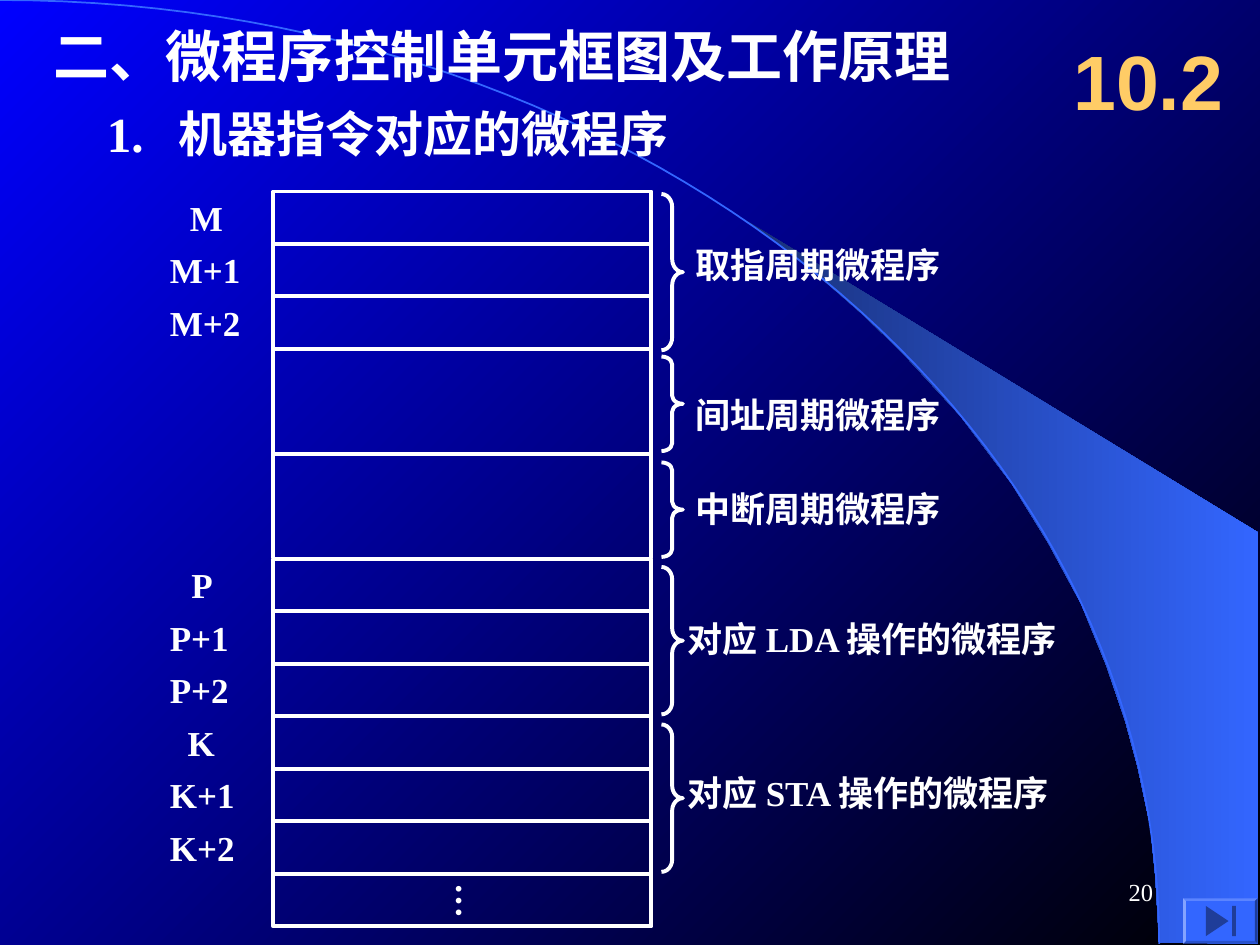
from lxml.etree import SubElement
from pptx import Presentation
from pptx.dml.color import RGBColor
from pptx.enum.shapes import MSO_CONNECTOR, MSO_SHAPE
from pptx.enum.text import MSO_ANCHOR, MSO_AUTO_SIZE, PP_ALIGN
from pptx.oxml.ns import qn
from pptx.util import Inches, Pt


def color(value):
    return RGBColor.from_string(value)


def add_text(text, left, top, width, height, size=20, font="Times New Roman",
             fill="FFFFFF", bold=True, wrap=False):
    box = slide.shapes.add_textbox(Inches(left), Inches(top), Inches(width), Inches(height))
    frame = box.text_frame
    frame.word_wrap = wrap
    frame.text = text
    run = frame.paragraphs[0].runs[0]
    run.font.name = font
    run.font.size = Pt(size)
    run.font.bold = bold
    run.font.color.rgb = color(fill)
    return box


presentation = Presentation()
presentation.slide_width = Inches(10)
presentation.slide_height = Inches(7.5)
slide = presentation.slides.add_slide(presentation.slide_layouts[6])

background = slide.background.fill
background.gradient()
background.gradient_angle = 315
for stop, value in zip(background.gradient_stops, ("0000FF", "000000")):
    stop.color.rgb = color(value)

beam_points = [
    (Inches(x), Inches(y)) for x, y in (
        (9.2, 7.48), (9.99, 7.49), (9.99, 4.23), (5.89, 1.73), (6.24, 1.99), (6.53, 2.22),
        (6.85, 2.5), (7.16, 2.8), (7.62, 3.3), (8.03, 3.84), (8.32, 4.31), (8.58, 4.79),
        (8.78, 5.28), (8.93, 5.72), (9.03, 6.09), (9.13, 6.56), (9.17, 6.96),
    )
]
builder = slide.shapes.build_freeform(*beam_points[0])
builder.add_line_segments(beam_points[1:], close=True)
beam = builder.convert_to_shape()
beam.shadow.inherit = False
beam.line.fill.background()
beam.fill.gradient()
beam.fill.gradient_angle = 0
for stop, value in zip(beam.fill.gradient_stops, ("182F76", "3366FF")):
    stop.color.rgb = color(value)

arc_points = []
for step in range(1, 61):
    t = step / 60
    x = 3 * t * (1 - t) ** 2 * 5.08 + 3 * t**2 * (1 - t) * 9.2 + t**3 * 9.2
    y = 3 * t**2 * (1 - t) * 3.35 + t**3 * 7.49
    arc_points.append((Inches(x), Inches(y)))
builder = slide.shapes.build_freeform(0, 0)
builder.add_line_segments(arc_points, close=False)
arc = builder.convert_to_shape()
arc.shadow.inherit = False
arc.fill.background()
arc.line.color.rgb = color("3366FF")
arc.line.width = Pt(1)

add_text("二、微程序控制单元框图及工作原理", 0.33, 0.12, 8, 0.64, size=32, wrap=True)
subtitle = add_text("1.\t机器指令对应的微程序", 0.75, 0.77, 5.33, 0.57, size=28, wrap=True)
properties = subtitle.text_frame.paragraphs[0]._p.get_or_add_pPr()
properties.set("marL", str(Inches(0.57)))
properties.set("indent", str(-Inches(0.57)))

memory_left, memory_top, memory_width = 2.17, 1.52, 3
row_height = 5 / 12
for row in (0, 1, 2, 7, 8, 9, 10, 11, 12, 13):
    cell = slide.shapes.add_shape(
        MSO_SHAPE.RECTANGLE, Inches(memory_left), Inches(memory_top + row * row_height),
        Inches(memory_width), Inches(row_height))
    cell.shadow.inherit = False
    cell.fill.background()
    cell.line.color.rgb = color("FFFFFF")
    cell.line.width = Pt(2.25)

memory_right = memory_left + memory_width
for start_x, start_y, end_x, end_y in (
    (memory_left, 2.77, memory_left, 4.43),
    (memory_right, 2.77, memory_right, 4.43),
    (memory_left, 3.6, memory_right, 3.6),
):
    border = slide.shapes.add_connector(
        MSO_CONNECTOR.STRAIGHT, Inches(start_x), Inches(start_y), Inches(end_x), Inches(end_y))
    border.line.color.rgb = color("FFFFFF")
    border.line.width = Pt(2.25)
    SubElement(border._element.spPr, qn("a:effectLst"))

for letter, first_row, left, width in (
    ("M", 0, 1.41, 0.46),
    ("P", 7, 1.42, 0.37),
    ("K", 10, 1.39, 0.41),
):
    for offset in range(3):
        top = memory_top + (first_row + offset) * row_height - 0.01
        if offset:
            add_text(f"{letter}+{offset}", 1.25, top, 0.8, 0.44)
        else:
            add_text(letter, left, top, width, 0.44)

ellipsis = add_text("…", 3.42, 6.91, 0.53, 0.38)
frame = ellipsis.text_frame
frame.margin_left = frame.margin_right = Inches(0.05)
frame.margin_top = frame.margin_bottom = Inches(0.1)
frame.auto_size = MSO_AUTO_SIZE.SHAPE_TO_FIT_TEXT
frame._txBody.bodyPr.set("vert", "eaVert")

brace_width = 0.17
for text, brace_top, brace_height, text_left, text_top, text_width in (
    ("取指周期微程序", 1.54, 1.24, 5.42, 1.88, 2.15),
    ("间址周期微程序", 2.83, 0.75, 5.42, 3.07, 2.15),
    ("中断周期微程序", 3.67, 0.75, 5.42, 3.82, 2.15),
    ("对应 LDA 操作的微程序", 4.5, 1.17, 5.36, 4.85, 3.28),
    ("对应 STA 操作的微程序", 5.75, 1.17, 5.36, 6.07, 3.23),
):
    brace = slide.shapes.add_shape(
        MSO_SHAPE.RIGHT_BRACE, Inches(5.25), Inches(brace_top),
        Inches(brace_width), Inches(brace_height))
    brace.adjustments[0] = brace_height / 12 / brace_width
    brace.shadow.inherit = False
    brace.fill.background()
    brace.line.color.rgb = color("FFFFFF")
    brace.line.width = Pt(2.25)
    add_text(text, text_left, text_top, text_width, 0.44)

section = add_text("10.2", 8.42, 0.17, 1.58, 0.92, size=44, font="Arial",
                   fill="FFCC66", wrap=True)
section.text_frame.vertical_anchor = MSO_ANCHOR.MIDDLE

for kind, left, top, width, height, rotation, fill in (
    (MSO_SHAPE.BEVEL, 9.39, 7.13, 0.59, 0.36, 0, "3366FF"),
    (MSO_SHAPE.ISOSCELES_TRIANGLE, 9.54, 7.22, 0.24, 0.18, 90, "1F3D99"),
    (MSO_SHAPE.RECTANGLE, 9.78, 7.19, 0.03, 0.24, 0, "1F3D99"),
):
    button_part = slide.shapes.add_shape(
        kind, Inches(left), Inches(top), Inches(width), Inches(height))
    if kind == MSO_SHAPE.BEVEL:
        button_part.adjustments[0] = 0.06
    button_part.rotation = rotation
    button_part.shadow.inherit = False
    button_part.fill.solid()
    button_part.fill.fore_color.rgb = color(fill)
    button_part.line.fill.background()

page_number = add_text("20", 7.17, 6.83, 2.08, 0.5, size=14, bold=False, wrap=True)
page_number.text_frame.vertical_anchor = MSO_ANCHOR.MIDDLE
page_number.text_frame.paragraphs[0].alignment = PP_ALIGN.RIGHT

presentation.save("out.pptx")
